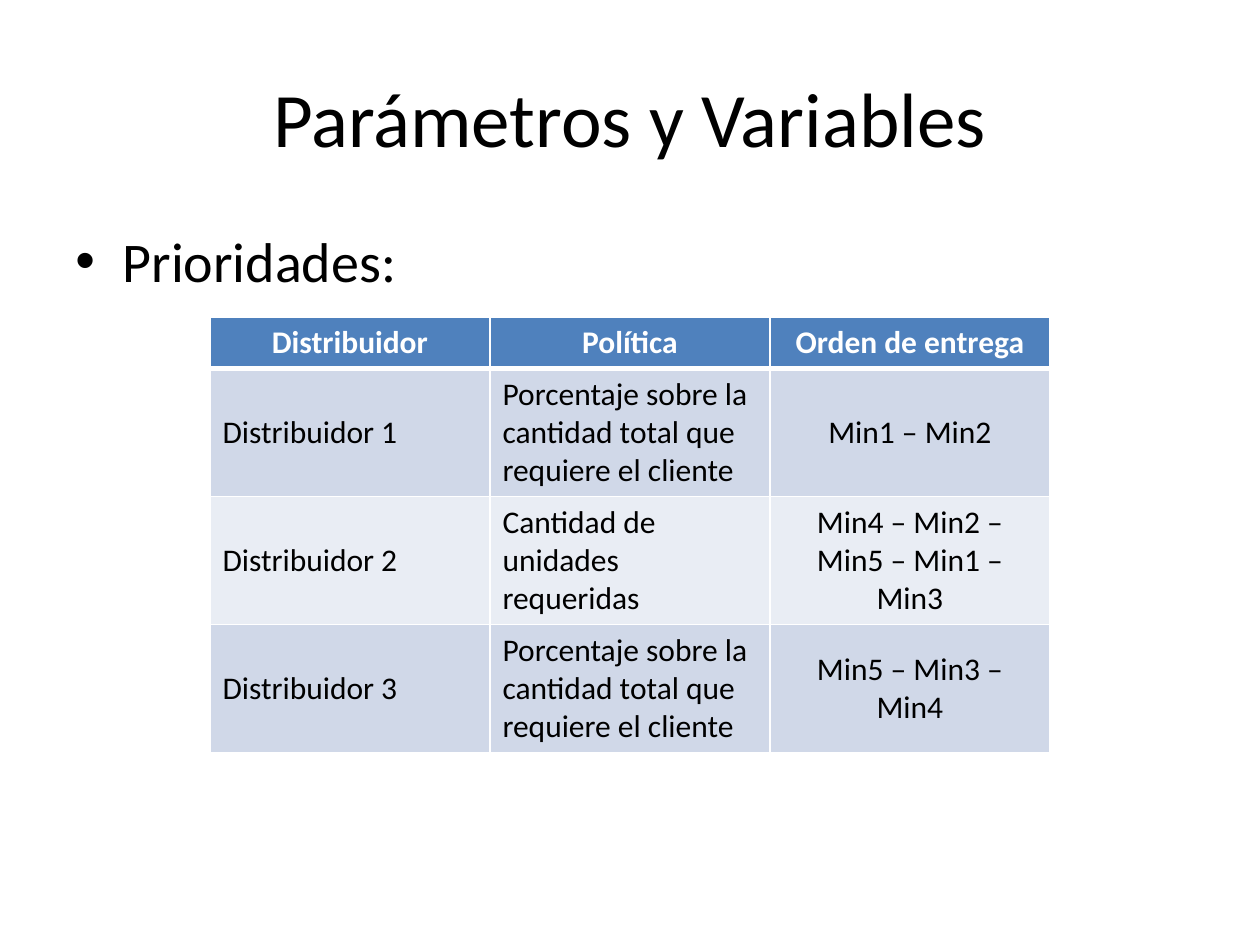
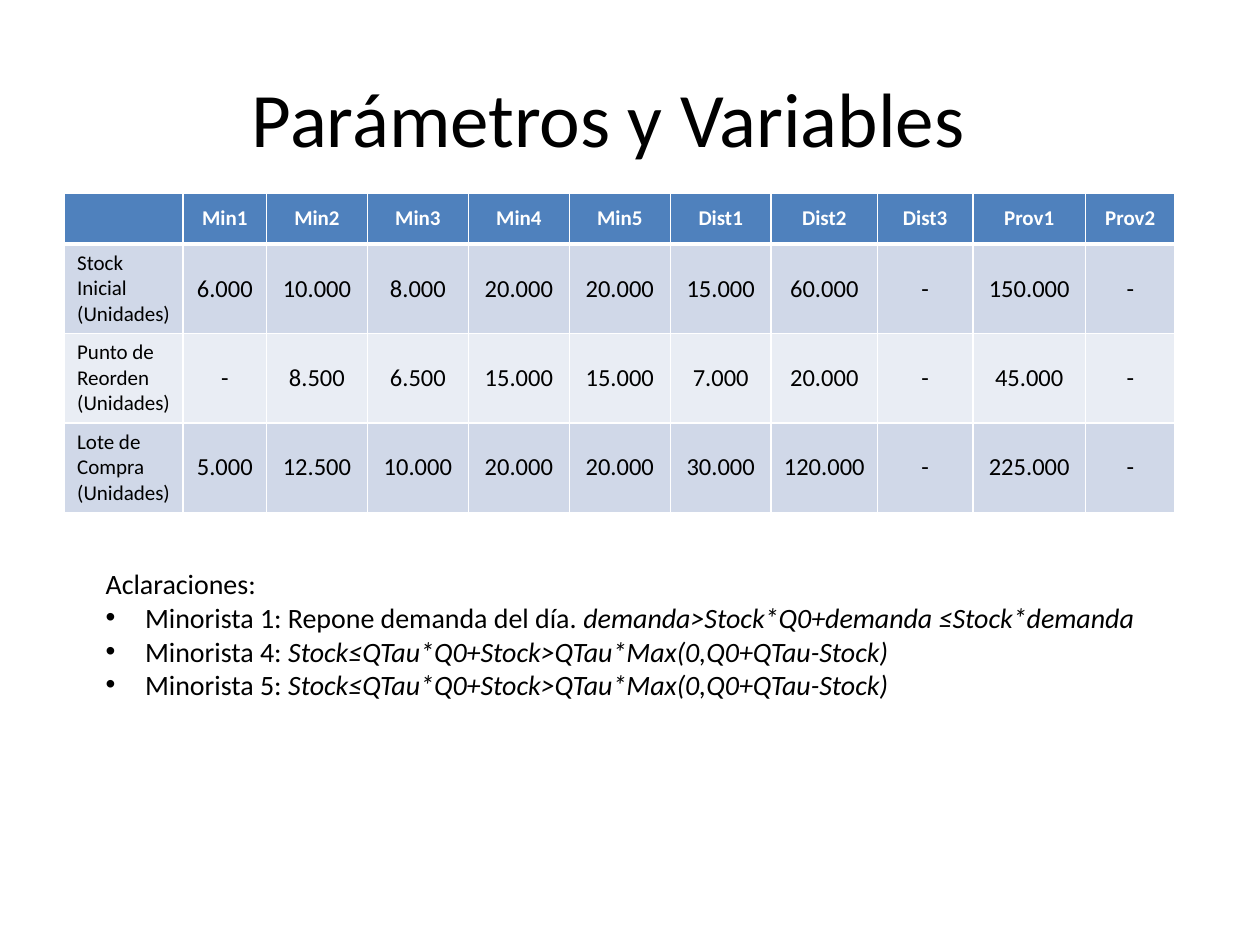
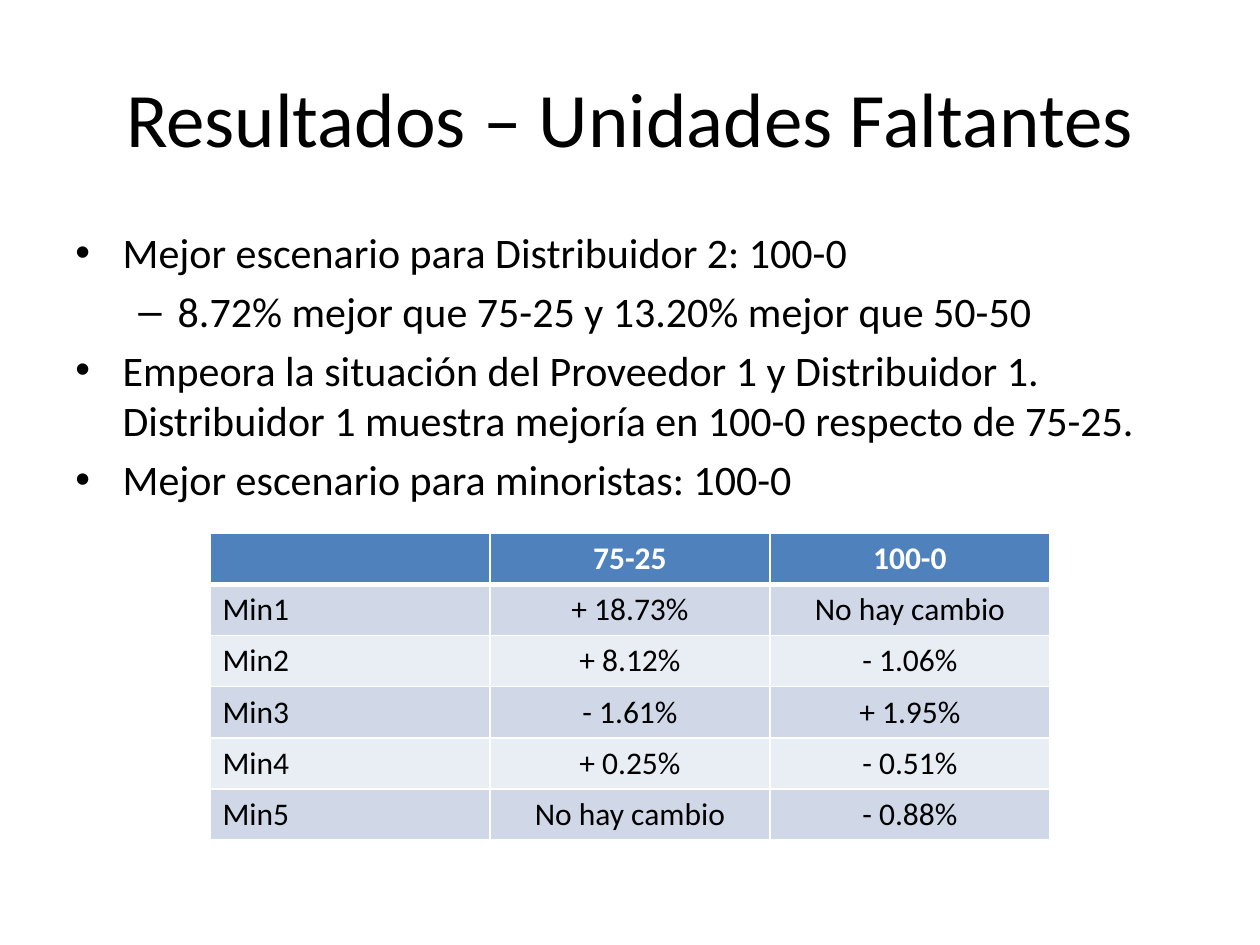
"""Build three slides on the parameters and results of a supply chain simulation."""
from dataclasses import dataclass

from lxml.etree import SubElement
from pptx import Presentation
from pptx.dml.color import RGBColor
from pptx.enum.text import MSO_ANCHOR as Anchor
from pptx.enum.text import MSO_AUTO_SIZE as AutoSize
from pptx.enum.text import PP_ALIGN as Align
from pptx.oxml.ns import qn
from pptx.slide import Slide
from pptx.table import _Cell as Cell
from pptx.text.text import _Paragraph as TextParagraph
from pptx.util import Pt

FONT = "Calibri"
COLORS = {
    "text": "000000",
    "header_text": "FFFFFF",
    "header": "4F81BD",
    "odd_row": "D0D8E8",
    "even_row": "E9EDF4",
    "border": "FFFFFF",
}
HEADER_HEIGHT = 29.2
THIN, THICK = 1, 3


@dataclass(frozen=True)
class Box:
    left: float
    top: float
    width: float
    height: float


@dataclass(frozen=True)
class Run:
    text: str
    italic: bool = False


@dataclass(frozen=True)
class Bullet:
    mark: str
    margin: float
    hanging: float


@dataclass(frozen=True)
class Line:
    runs: tuple[Run, ...]
    bullet: Bullet | None = None


@dataclass(frozen=True)
class Grid:
    left: float
    top: float
    widths: tuple[float, ...]
    row_height: float
    rows: tuple[tuple[str, ...], ...]
    header_size: float = 18
    label_size: float = 18
    value_size: float = 18
    left_columns: int = 1


TITLE_BOX = Box(36, 21.6, 648, 90)
BODY_BOX = Box(36, 126, 648, 356.4)
NOTES_BOX = Box(53.3, 320.4, 610.6, 85)
MAIN_POINT = Bullet("•", 27, 27)
SUB_POINT = Bullet("–", 58.5, 22.5)
NOTE_POINT = Bullet("•", 22.5, 22.5)
THIRDS = (160,) * 3

PRIORITIES = Grid(120, 181.5, THIRDS, 73, (
    ("Distribuidor", "Política", "Orden de entrega"),
    ("Distribuidor 1", "Porcentaje sobre la cantidad total que requiere el cliente", "Min1 – Min2"),
    ("Distribuidor 2", "Cantidad de unidades requeridas", "Min4 – Min2 – Min5 – Min1 – Min3"),
    ("Distribuidor 3", "Porcentaje sobre la cantidad total que requiere el cliente", "Min5 – Min3 – Min4"),
), left_columns=2)

STOCK = Grid(36.9, 110.2, (67.8, 47.6, *(57.7,) * 5, 60.7, 54.6, 64.3, 51.2), 51.1, (
    ("", "Min1", "Min2", "Min3", "Min4", "Min5", "Dist1", "Dist2", "Dist3", "Prov1", "Prov2"),
    ("Stock Inicial\n(Unidades)", "6.000", "10.000", "8.000", "20.000", "20.000",
     "15.000", "60.000", "-", "150.000", "-"),
    ("Punto de Reorden (Unidades)", "-", "8.500", "6.500", "15.000", "15.000",
     "7.000", "20.000", "-", "45.000", "-"),
    ("Lote de Compra (Unidades)", "5.000", "12.500", "10.000", "20.000", "20.000",
     "30.000", "120.000", "-", "225.000", "-"),
), header_size=12, label_size=12, value_size=14)

SHORTAGES = Grid(120, 304.8, THIRDS, HEADER_HEIGHT, (
    ("", "75-25", "100-0"),
    ("Min1", "+ 18.73%", "No hay cambio"),
    ("Min2", "+ 8.12%", "- 1.06%"),
    ("Min3", "- 1.61%", "+ 1.95%"),
    ("Min4", "+ 0.25%", "- 0.51%"),
    ("Min5", "No hay cambio", "- 0.88%"),
))

REORDER_RULE = Run("Stock≤QTau*Q0+Stock>QTau*Max(0,Q0+QTau-Stock)", italic=True)
NOTES = (
    Line((Run("Aclaraciones:"),)),
    Line((Run("Minorista 1: Repone demanda del día. "),
          Run("demanda>Stock*Q0+demanda ≤Stock*demanda", italic=True)), NOTE_POINT),
    Line((Run("Minorista 4: "), REORDER_RULE), NOTE_POINT),
    Line((Run("Minorista 5: "), REORDER_RULE), NOTE_POINT),
)
FINDINGS = (
    Line((Run("Mejor escenario para Distribuidor 2: 100-0"),), MAIN_POINT),
    Line((Run("8.72% mejor que 75-25 y 13.20% mejor que 50-50"),), SUB_POINT),
    Line((Run("Empeora la situación del Proveedor 1 y Distribuidor 1. "
              "Distribuidor 1 muestra mejoría en 100-0 respecto de 75-25."),), MAIN_POINT),
    Line((Run("Mejor escenario para minoristas: 100-0"),), MAIN_POINT),
)


def add_run(paragraph: TextParagraph, run: Run, size: float,
            color: str = "text", bold: bool = False) -> None:
    """Append one styled run."""
    piece = paragraph.add_run()
    piece.text = run.text
    font = piece.font
    font.name, font.size, font.bold, font.italic = FONT, Pt(size), bold, run.italic
    font.color.rgb = RGBColor.from_string(COLORS[color])


def set_bullet(paragraph: TextParagraph, bullet: Bullet) -> None:
    """Give a paragraph a hanging bullet."""
    properties = paragraph._p.get_or_add_pPr()
    properties.set("marL", str(Pt(bullet.margin)))
    properties.set("indent", str(-Pt(bullet.hanging)))
    SubElement(properties, qn("a:buFont")).set("typeface", "Arial")
    SubElement(properties, qn("a:buChar")).set("char", bullet.mark)


def add_text(slide: Slide, box: Box, lines: tuple[Line, ...], size: float, *,
             align: Align = Align.LEFT, anchor: Anchor = Anchor.TOP,
             gap: float = 0, wrap: bool = True) -> None:
    """Add a text box with one paragraph per line."""
    frame = slide.shapes.add_textbox(
        Pt(box.left), Pt(box.top), Pt(box.width), Pt(box.height)).text_frame
    frame.word_wrap = wrap
    frame.auto_size = AutoSize.NONE if wrap else AutoSize.SHAPE_TO_FIT_TEXT
    frame.vertical_anchor = anchor
    for index, line in enumerate(lines):
        paragraph = frame.add_paragraph() if index else frame.paragraphs[0]
        paragraph.alignment = align
        if line.bullet:
            set_bullet(paragraph, line.bullet)
        if index and gap:
            paragraph.space_before = Pt(gap)
        for run in line.runs:
            add_run(paragraph, run, size)


def add_title(slide: Slide, title: str) -> None:
    """Add the centred slide title."""
    add_text(slide, TITLE_BOX, (Line((Run(title),)),), 44,
             align=Align.CENTER, anchor=Anchor.MIDDLE)


def set_borders(cell: Cell, top: float, bottom: float) -> None:
    """Draw the four borders of a cell."""
    properties = cell._tc.get_or_add_tcPr()
    for side, width in (("L", THIN), ("R", THIN), ("T", top), ("B", bottom)):
        edge = SubElement(properties, qn(f"a:ln{side}"), w=str(Pt(width)))
        fill = SubElement(edge, qn("a:solidFill"))
        SubElement(fill, qn("a:srgbClr")).set("val", COLORS["border"])


def fill_cell(cell: Cell, grid: Grid, row: int, column: int) -> None:
    """Style a cell by its place in the grid and write its text."""
    is_header = row == 0
    set_borders(cell, THICK if row == 1 else THIN, THICK if is_header else THIN)
    shade = "header" if is_header else "odd_row" if row % 2 else "even_row"
    cell.fill.solid()
    cell.fill.fore_color.rgb = RGBColor.from_string(COLORS[shade])
    cell.vertical_anchor = Anchor.MIDDLE
    if is_header:
        size = grid.header_size
    else:
        size = grid.value_size if column else grid.label_size
    centred = is_header or column >= grid.left_columns
    text = grid.rows[row][column]
    for index, part in enumerate(text.split("\n") if text else ()):
        frame = cell.text_frame
        paragraph = frame.add_paragraph() if index else frame.paragraphs[0]
        paragraph.alignment = Align.CENTER if centred else Align.LEFT
        add_run(paragraph, Run(part), size, "header_text" if is_header else "text", is_header)


def add_grid(slide: Slide, grid: Grid) -> None:
    """Add a banded table."""
    heights = [HEADER_HEIGHT] + [grid.row_height] * (len(grid.rows) - 1)
    table = slide.shapes.add_table(
        len(heights), len(grid.widths), Pt(grid.left), Pt(grid.top),
        Pt(sum(grid.widths)), Pt(sum(heights))).table
    for column, width in zip(table.columns, grid.widths):
        column.width = Pt(width)
    for row, height in enumerate(heights):
        table.rows[row].height = Pt(height)
        for column in range(len(grid.widths)):
            fill_cell(table.cell(row, column), grid, row, column)


def main() -> None:
    """Build and save the presentation."""
    deck = Presentation()
    deck.slide_width, deck.slide_height = Pt(720), Pt(540)
    blank = deck.slide_layouts[6]
    priorities, stock, results = (deck.slides.add_slide(blank) for _ in range(3))

    add_title(priorities, "Parámetros y Variables")
    add_text(priorities, BODY_BOX, (Line((Run("Prioridades:"),), MAIN_POINT),), 32)
    add_grid(priorities, PRIORITIES)

    add_title(stock, "Parámetros y Variables\t")
    add_grid(stock, STOCK)
    add_text(stock, NOTES_BOX, NOTES, 16, wrap=False)

    add_title(results, "Resultados – Unidades Faltantes")
    add_text(results, BODY_BOX, FINDINGS, 24, gap=4.8)
    add_grid(results, SHORTAGES)

    deck.save("out.pptx")


if __name__ == "__main__":
    main()
